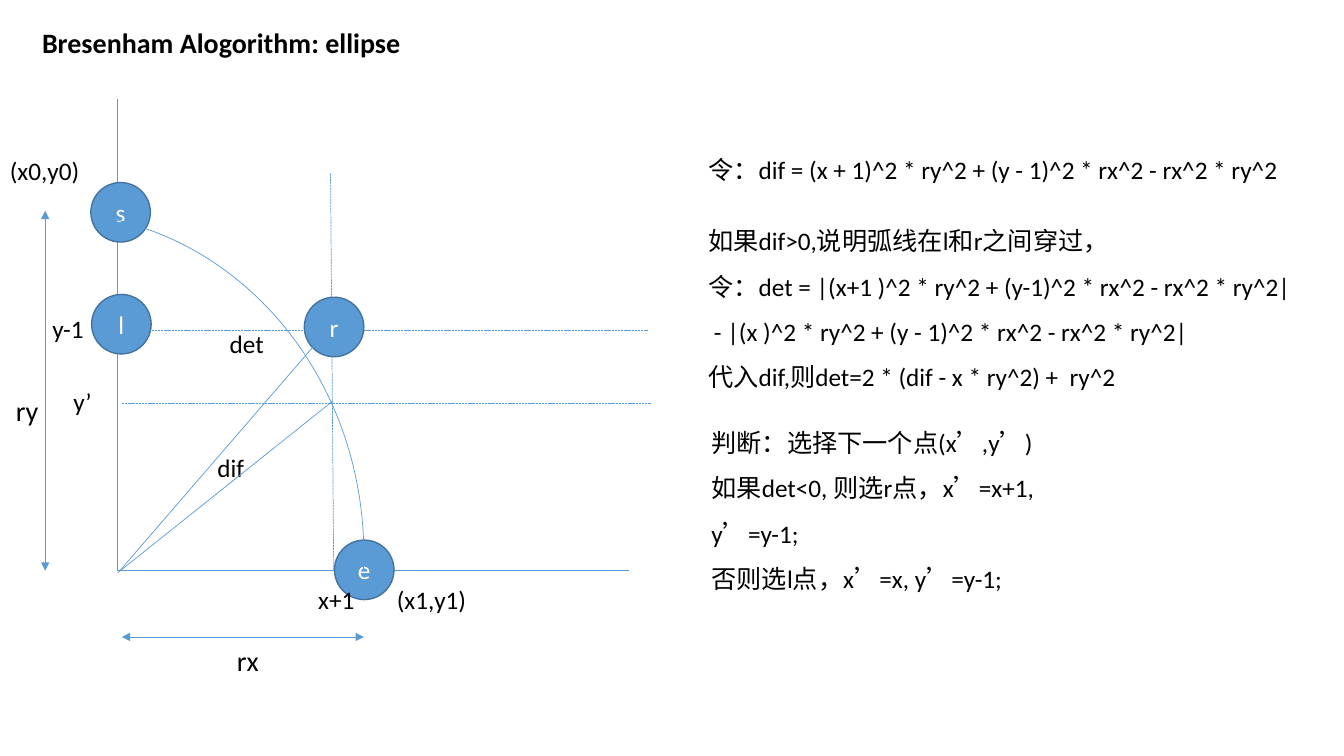
import pptx
import pptx.dml.color
import pptx.enum.dml
import pptx.enum.shapes
import pptx.enum.text
import pptx.oxml
import pptx.oxml.ns
import pptx.util

Cm = pptx.util.Cm
Pt = pptx.util.Pt
SHAPES = pptx.enum.shapes.MSO_SHAPE
COLORS = {"line": "5B9BD5", "disc": "5B9BD5", "rim": "43739E",
          "text": "000000", "letter": "FFFFFF"}
FONT = "Calibri"
DISC_SIZE = 1.5
LINE_HEIGHT = {18: 1.03, 20: 1.11}

# Geometry of the diagram, in centimetres
AXIS_X, AXIS_Y = 2.97, 14.38
AXES = [(AXIS_X, 2.49, AXIS_X, AXIS_Y), (AXIS_X, AXIS_Y, 15.85, AXIS_Y)]
GUIDES = [(8.33, 4.37, 8.41, AXIS_Y), (AXIS_X, 8.33, 16.33, 8.33),
          (3.07, 10.16, 16.41, 10.16)]
RADII = [(3.02, AXIS_Y, 8.33, 8.23), (AXIS_X, 14.43, 8.38, 10.11)]
MEASURES = [(3.07, 16.05, 9.17, 16.05), (1.14, 5.31, 1.14, AXIS_Y)]
DISCS = [("s", 2.29, 4.6), ("e", 8.43, 13.61), ("l", 2.31, 7.42), ("r", 7.67, 7.49)]
LABELS = [  # text, left, top, width, size
    ("x+1", 7.77, 14.61, 1.42, 18),
    ("y-1", 1.07, 7.77, 1.32, 18),
    ("(x0,y0)", 0, 3.78, 2.29, 18),
    ("(x1,y1)", 9.75, 14.61, 2.29, 18),
    ("y’", 1.6, 9.6, 0.99, 18),
    ("det", 5.54, 8.15, 1.37, 18),
    ("dif", 5.23, 11.28, 1.19, 18),
    ("rx", 5.72, 16.1, 1.07, 20),
    ("ry", 0.15, 9.78, 1.09, 20),
]

# Derivation beside the diagram
DEFINITION = ["令：dif = (x + 1)^2 * ry^2 + (y - 1)^2 * rx^2 - rx^2 * ry^2"]
DERIVATION = [
    "如果dif>0,说明弧线在l和r之间穿过，",
    "令：det = |(x+1 )^2 * ry^2 + (y-1)^2 * rx^2 - rx^2 * ry^2|",
    " - |(x )^2 * ry^2 + (y - 1)^2 * rx^2 - rx^2 * ry^2|",
    "代入dif,则det=2 * (dif - x * ry^2) +  ry^2",
]
DECISION = [
    "判断：选择下一个点(x’,y’)",
    "如果det<0, 则选r点，x’=x+1, y’=y-1;",
    "否则选l点，x’=x, y’=y-1;",
]


def color(name):
    return pptx.dml.color.RGBColor.from_string(COLORS[name])


def set_all(target, values):
    for name, value in values.items():
        setattr(target, name, value)


def add_span(para, text, size, color_name, bold=False):
    span = para.add_run()
    span.text = text
    set_all(span.font, {"name": FONT, "size": Pt(size), "bold": bold})
    span.font.color.rgb = color(color_name)


def add_text(page, lines, left, top, width, height, size=18, bold=False,
             spacing=None, wrap=False):
    box = page.shapes.add_textbox(Cm(left), Cm(top), Cm(width), Cm(height))
    frame = box.text_frame
    set_all(frame, {"word_wrap": wrap,
                    "auto_size": pptx.enum.text.MSO_AUTO_SIZE.SHAPE_TO_FIT_TEXT})
    for index, line in enumerate(lines):
        para = frame.add_paragraph() if index else frame.paragraphs[0]
        para.line_spacing = spacing
        add_span(para, line, size, "text", bold)


def add_line(page, points, dashed=False, arrows=False):
    line = page.shapes.add_connector(pptx.enum.shapes.MSO_CONNECTOR.STRAIGHT,
                                     *[Cm(value) for value in points])
    line.line.color.rgb = color("line")
    line.line.width = Pt(0.5)
    if dashed:
        line.line.dash_style = pptx.enum.dml.MSO_LINE.SQUARE_DOT
    if arrows:
        outline = line.line._get_or_add_ln()
        for end in ("a:headEnd", "a:tailEnd"):
            arrow = pptx.oxml.parse_xml(
                f'<{end} {pptx.oxml.ns.nsdecls("a")} type="triangle"/>')
            outline.append(arrow)
    line._element.spPr.append(pptx.oxml.parse_xml(
        f'<a:effectLst {pptx.oxml.ns.nsdecls("a")}/>'))


def add_disc(page, letter, left, top):
    disc = page.shapes.add_shape(SHAPES.OVAL, Cm(left), Cm(top),
                                 Cm(DISC_SIZE), Cm(DISC_SIZE))
    disc.shadow.inherit = False
    disc.fill.solid()
    disc.fill.fore_color.rgb = color("disc")
    disc.line.color.rgb = color("rim")
    disc.line.width = Pt(1)
    disc.text_frame.vertical_anchor = pptx.enum.text.MSO_ANCHOR.MIDDLE
    para = disc.text_frame.paragraphs[0]
    para.alignment = pptx.enum.text.PP_ALIGN.CENTER
    add_span(para, letter, 18, "letter")


def add_arc(page, left, top, width, height, start, end):
    arc = page.shapes.add_shape(SHAPES.ARC, Cm(left), Cm(top), Cm(width), Cm(height))
    arc.shadow.inherit = False
    arc.fill.background()
    arc.line.color.rgb = color("line")
    arc.line.width = Pt(0.5)
    # An angle adjustment of 0.6 is one degree
    arc.adjustments[0] = start * 0.6
    arc.adjustments[1] = end * 0.6


def main():
    deck = pptx.Presentation()
    set_all(deck, {"slide_width": Cm(33.87), "slide_height": Cm(19.05)})
    page = deck.slides.add_slide(deck.slide_layouts[6])

    # Title
    add_text(page, ["Bresenham Alogorithm: ellipse"], 0.81, 0.51, 9.78, 1.11,
             size=20, bold=True)

    # Axes, guides and points
    for points in AXES:
        add_line(page, points)
    for points in GUIDES:
        add_line(page, points, dashed=True)
    for letter, left, top in DISCS:
        add_disc(page, letter, left, top)

    # Labels, measures and curve
    for text, left, top, width, size in LABELS:
        add_text(page, [text], left, top, width, LINE_HEIGHT[size], size)
    for points in MEASURES:
        add_line(page, points, arrows=True)
    add_arc(page, -6.58, 5.36, 15.75, 17.22, start=278.78, end=2.89)
    for points in RADII:
        add_line(page, points)

    # Derivation
    add_text(page, DEFINITION, 17.6, 3.76, 15.04, 1.03)
    add_text(page, DERIVATION, 17.6, 5.18, 15.37, 4.88, spacing=1.5)
    add_text(page, DECISION, 17.68, 10.26, 10.16, 3.71, spacing=1.5, wrap=True)

    deck.save("out.pptx")


if __name__ == "__main__":
    main()
